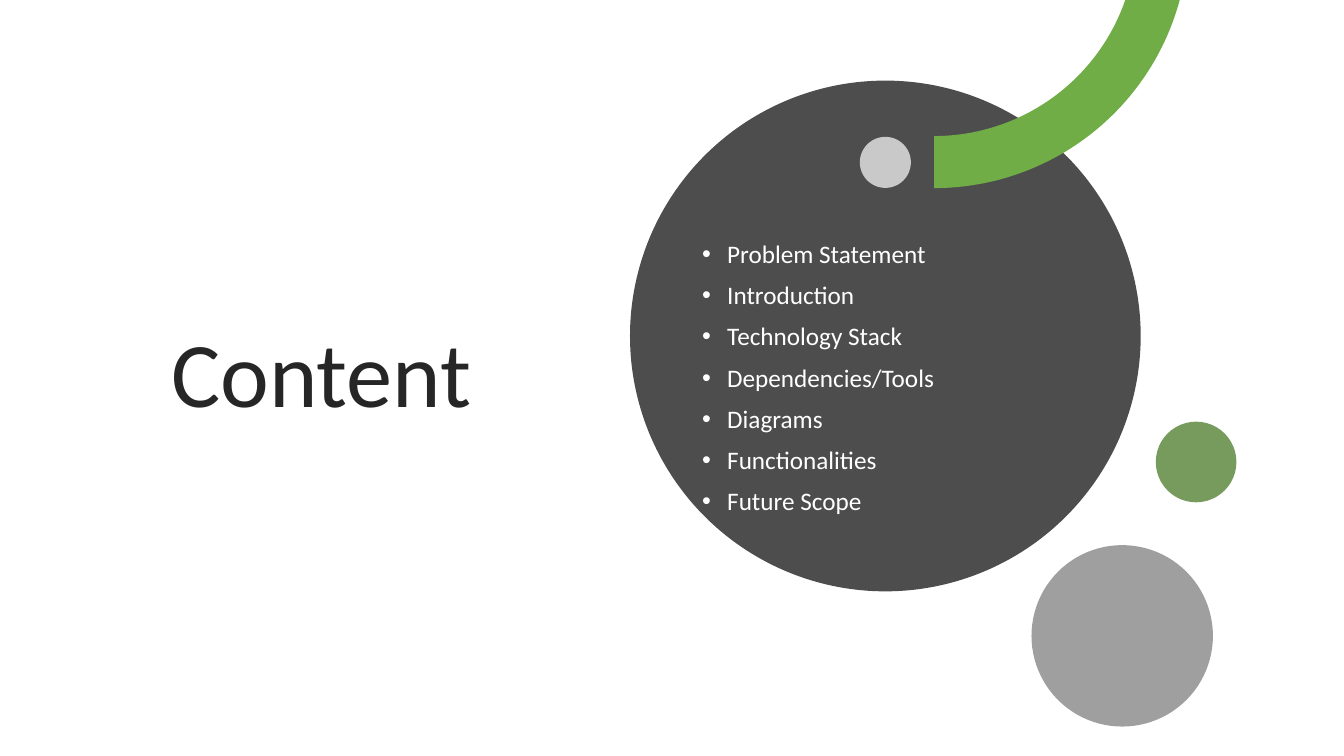
from dataclasses import dataclass
from math import asin, cos, pi, sin

from lxml.etree import SubElement
from pptx import Presentation
from pptx.dml.color import RGBColor as Rgb
from pptx.enum.shapes import MSO_SHAPE as Shape
from pptx.enum.text import MSO_ANCHOR as Anchor, MSO_AUTO_SIZE as AutoSize, PP_ALIGN as Align
from pptx.oxml.ns import qn
from pptx.util import Emu, Inches, Pt

COLUMNS, ROWS = 16, 9
CELL = 762000
TOPICS = ["Problem Statement", "Introduction", "Technology Stack", "Dependencies/Tools",
          "Diagrams", "Functionalities", "Future Scope"]


@dataclass(frozen=True)
class Theme:
    """Colours, font and type sizes of the slide."""
    font: str = "Calibri"
    title_size: int = 66
    list_size: int = 18
    ink: str = "262626"
    white: str = "FFFFFF"
    disc: str = "4D4D4D"
    band: str = "70AD47"
    leaf: str = "548235"
    stone: str = "404040"


THEME = Theme()


def cells(count):
    """Turn a count of grid cells into a length."""
    return Emu(round(count * CELL))


def apply(target, values):
    """Set each attribute of the target from a dict."""
    for name, value in values.items():
        setattr(target, name, value)


def paint(shape, color, opacity=100):
    """Fill a shape with one colour, without line or shadow."""
    shape.shadow.inherit = False
    shape.line.fill.background()
    shape.fill.solid()
    shape.fill.fore_color.rgb = Rgb.from_string(color)
    if opacity < 100:
        tint = shape.element.spPr.find(f"{qn('a:solidFill')}/{qn('a:srgbClr')}")
        SubElement(tint, qn("a:alpha"), val=str(opacity * 1000))


def write(frame, lines, size, color, para_format):
    """Write lines as left-aligned paragraphs centred on the frame's height."""
    apply(frame, {"word_wrap": True, "auto_size": AutoSize.NONE,
                  "vertical_anchor": Anchor.MIDDLE})
    for index, line in enumerate(lines):
        para = frame.add_paragraph() if index else frame.paragraphs[0]
        apply(para, {"alignment": Align.LEFT, "line_spacing": 0.9, **para_format})
        span = para.add_run()
        span.text = line
        apply(span.font, {"name": THEME.font, "size": Pt(size)})
        span.font.color.rgb = Rgb.from_string(color)


def add_bullet(para):
    """Give a paragraph a round bullet with a hanging indent."""
    props = para._p.get_or_add_pPr()
    props.set("marL", str(Inches(0.25)))
    props.set("indent", str(Inches(-0.25)))
    SubElement(props, qn("a:buFont"), typeface="Arial")
    SubElement(props, qn("a:buChar"), char="•")


def add_circle(page, left, top, size, color, opacity=100):
    """Draw a circle in the square given in grid cells."""
    circle = page.shapes.add_shape(Shape.OVAL, *map(cells, (left, top, size, size)))
    paint(circle, color, opacity)


def add_heading(page, left, top, width, height):
    """Place the slide title in its box."""
    title = page.shapes.title
    box = dict(zip(("left", "top", "width", "height"), map(cells, (left, top, width, height))))
    apply(title, box)
    write(title.text_frame, ["Content"], THEME.title_size, THEME.ink, {})


def add_disc(page, left, top, size):
    """Draw the dark disc with its pale spot."""
    add_circle(page, left, top, size, THEME.disc)
    add_circle(page, left + 0.45 * size, top + 0.11 * size, 0.1 * size, THEME.white, 70)


def add_topics(page, left, top, size):
    """Write the bulleted topics inside the disc's square."""
    box = (left + 0.74, top + 1.36, size - 1.38, size - 1.7)
    frame = page.shapes.add_textbox(*map(cells, box)).text_frame
    write(frame, TOPICS, THEME.list_size, THEME.white, {"space_before": Pt(10)})
    for para in frame.paragraphs:
        add_bullet(para)


def add_band(page, center_x, center_y, outer, inner, steps=60):
    """Draw the part of a quarter ring that lies below the slide's top edge."""
    def arc(radius):
        start = asin(-center_y / radius)
        angles = [start + (pi / 2 - start) * step / steps for step in range(steps + 1)]
        return [(cells(center_x + radius * cos(angle)), cells(center_y + radius * sin(angle)))
                for angle in angles]

    first, *rest = arc(outer) + arc(inner)[::-1]
    builder = page.shapes.build_freeform(*first)
    builder.add_line_segments(rest, close=True)
    paint(builder.convert_to_shape(), THEME.band)


def add_bubbles(page, left, top):
    """Draw the two translucent circles in the lower right corner."""
    add_circle(page, left + 1.48, top, 0.96, THEME.leaf, 80)
    add_circle(page, left, top + 1.47, 2.16, THEME.stone, 50)


def main():
    """Build the content slide and save the deck."""
    deck = Presentation()
    apply(deck, {"slide_width": cells(COLUMNS), "slide_height": cells(ROWS)})
    page = deck.slides.add_slide(deck.slide_layouts[5])
    disc = (7.5, 0.96, 6.08)
    add_heading(page, 1.92, 1.43, 4.99, 6.13)
    add_disc(page, *disc)
    add_band(page, 11.12, -0.79, 3.03, 2.41)
    add_bubbles(page, 12.28, 5.02)
    add_topics(page, *disc)
    deck.save("out.pptx")


if __name__ == "__main__":
    main()
